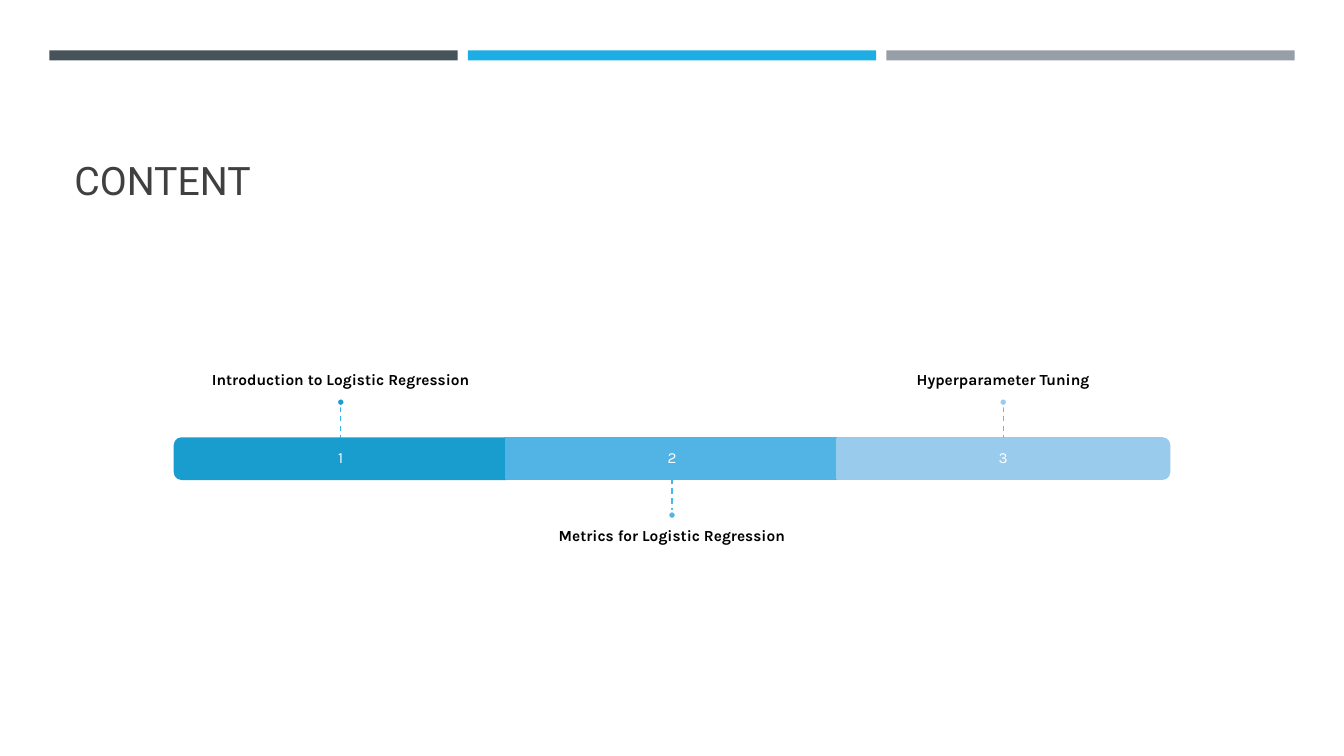
from lxml.etree import SubElement
from pptx import Presentation
from pptx.dml.color import RGBColor
from pptx.enum.dml import MSO_LINE
from pptx.enum.shapes import MSO_CONNECTOR as Link, MSO_SHAPE as Shape
from pptx.enum.text import MSO_ANCHOR as Anchor, PP_ALIGN as Align
from pptx.oxml.ns import qn
from pptx.util import Inches, Pt

COLORS = {
    "slate": "465359", "blue": "1CADE4", "gray": "969FA7",
    "title": "404040", "black": "000000", "white": "FFFFFF",
    "step1": "199DCF", "step2": "52B3E5", "step3": "99CBEC",
    "stem1": "36B3E9", "stem2": "48B8EC", "stem3": "5ABEEF",
}


def rgb(name):
    return RGBColor.from_string(COLORS[name])


def write(frame, text, font="Karla", size=11, color="black", bold=False,
          align=Align.CENTER, anchor=Anchor.MIDDLE, spacing=0.9,
          insets=(0.09, 0.09, 0.09, 0.09)):
    frame.word_wrap = True
    frame.vertical_anchor = anchor
    (frame.margin_left, frame.margin_top,
     frame.margin_right, frame.margin_bottom) = map(Inches, insets)
    paragraph = frame.paragraphs[0]
    paragraph.alignment = align
    paragraph.line_spacing = spacing
    run = paragraph.add_run()
    run.text = text
    run.font.name = font
    run.font.size = Pt(size)
    run.font.bold = bold
    run.font.color.rgb = rgb(color)


class Timeline:
    top, height, width = 4.35, 0.4, 3.29
    first_center, pitch = 3.38, 3.285
    stem, dot = 0.32, 0.08
    label_width, label_height = 5.48, 1.39

    def __init__(self, slide):
        self.shapes = slide.shapes

    def block(self, kind, left, top, width, height, fill, line=None):
        block = self.shapes.add_shape(kind, *map(Inches, (left, top, width, height)))
        block.shadow.inherit = False
        block.fill.solid()
        block.fill.fore_color.rgb = rgb(fill)
        if line:
            block.line.color.rgb = rgb(line)
            block.line.width = Pt(1.75)
        else:
            block.line.fill.background()
        return block

    def text(self, left, top, width, height, text, **style):
        box = self.shapes.add_textbox(*map(Inches, (left, top, width, height)))
        write(box.text_frame, text, **style)

    def dashes(self, x, start, end, color):
        stem = self.shapes.add_connector(
            Link.STRAIGHT, *map(Inches, (x, start, x, end)))
        stem.line.color.rgb = rgb(color)
        stem.line.width = Pt(1)
        stem.line.dash_style = MSO_LINE.DASH
        SubElement(stem._element.spPr, qn("a:effectLst"))
        return stem

    def segment(self, center, color, rotation):
        if rotation is None:
            return self.block(Shape.RECTANGLE, center - self.width / 2, self.top,
                              self.width, self.height, color, color)
        middle = self.top + self.height / 2
        end = self.block(Shape.ROUND_2_SAME_RECTANGLE, center - self.height / 2,
                         middle - self.width / 2, self.height, self.width, color, color)
        end.rotation = rotation
        return end

    def step(self, index, label, rotation):
        center = self.first_center + index * self.pitch
        number = index + 1
        color = f"step{number}"
        bottom = self.top + self.height
        label_left = center - self.label_width / 2
        segment = self.segment(center, color, rotation)
        self.text(center - self.width / 2, self.top, self.width, self.height,
                  str(number), color="white")
        if rotation is None:
            stem = self.dashes(center, bottom, bottom + self.stem, f"stem{number}")
            stem.begin_connect(segment, 2)
            dot_top = bottom + self.stem
            label_top = dot_top + self.dot
            style = {"anchor": Anchor.TOP, "insets": (0, 0.09, 0, 0)}
        else:
            self.dashes(center, self.top - self.stem, self.top, f"stem{number}")
            dot_top = self.top - self.stem - self.dot
            label_top = dot_top - self.label_height
            style = {"anchor": Anchor.BOTTOM, "insets": (0, 0, 0, 0.09)}
        self.block(Shape.OVAL, center - self.dot / 2, dot_top,
                   self.dot, self.dot, color, "white")
        self.text(label_left, label_top, self.label_width, self.label_height,
                  label, bold=True, **style)


def main():
    deck = Presentation()
    deck.slide_width, deck.slide_height = Inches(13.33), Inches(7.5)
    timeline = Timeline(deck.slides.add_slide(deck.slide_layouts[6]))

    for index, color in enumerate(("slate", "blue", "gray")):
        timeline.block(Shape.RECTANGLE, 0.49 + 4.15 * index, 0.5, 4.05, 0.1, color)

    timeline.text(0.64, 0.77, 12.06, 1.3, "CONTENT", font="Roboto", size=28,
                  color="title", align=Align.LEFT, anchor=Anchor.BOTTOM,
                  spacing=1.0, insets=(0.1, 0.05, 0.1, 0.05))

    steps = (
        ("Introduction to Logistic Regression", 270),
        ("Metrics for Logistic Regression", None),
        ("Hyperparameter Tuning", 90),
    )
    for index, (label, rotation) in enumerate(steps):
        timeline.step(index, label, rotation)

    deck.save("out.pptx")


if __name__ == "__main__":
    main()
